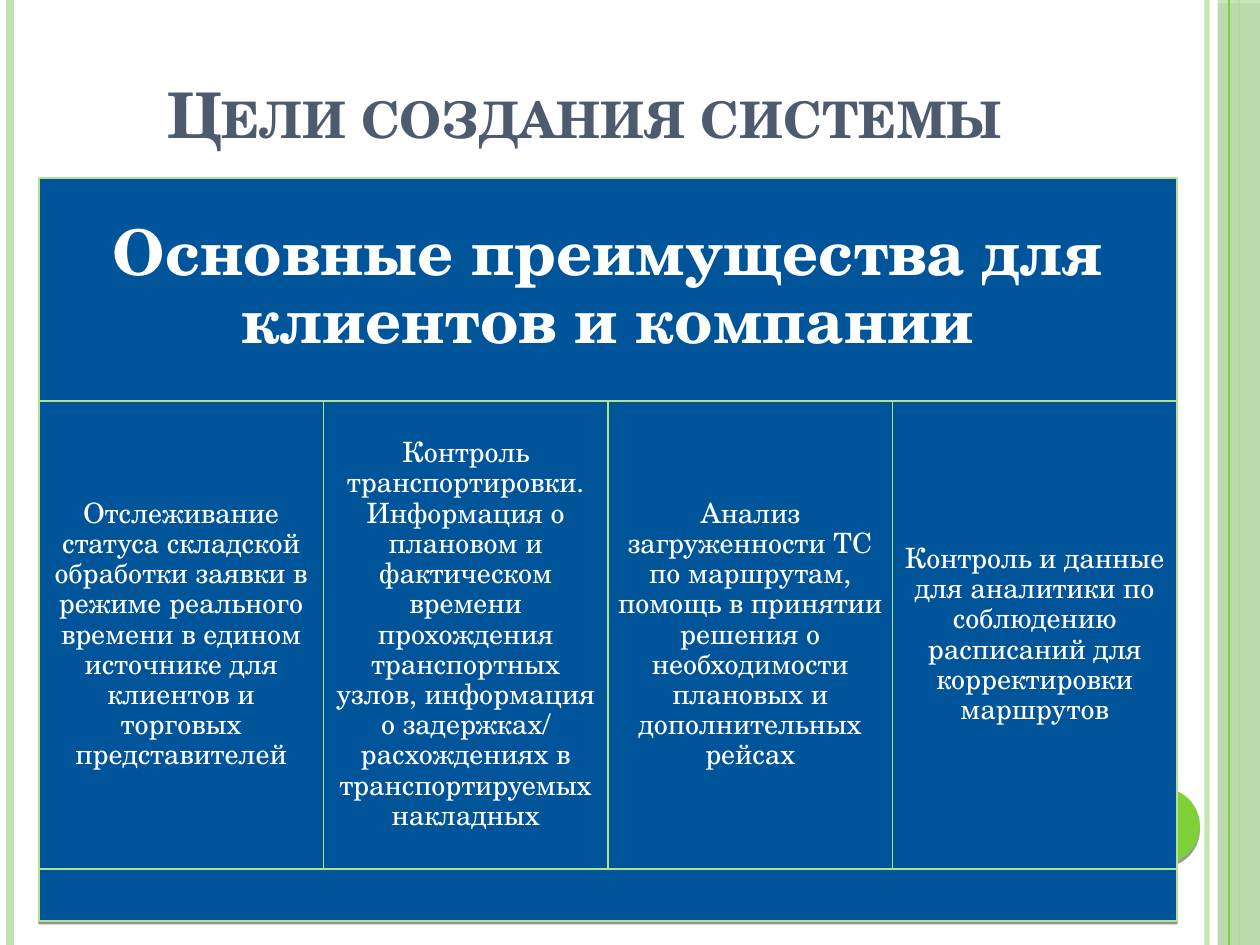
import pptx
import pptx.dml.color
import pptx.enum.shapes
import pptx.enum.text
import pptx.oxml.ns
import pptx.util
import lxml.etree

SCALE = 914400 / 126
FONT = "TeX Gyre Schola"
GREEN, PALE_GREEN, BORDER = "7FD13B", "C0E4AF", "B2E389"
BLUE, WHITE, SLATE = "00549A", "FFFFFF", "4E5B6F"

PANEL_LEFT, PANEL_WIDTH = 39, 1138
HEADING_TOP, COLUMNS_TOP, FOOTER_TOP, PANEL_BOTTOM = 178, 401, 869, 921
HEADING = "Основные преимущества для клиентов и компании"
BENEFITS = [
    "Отслеживание статуса складской обработки заявки в режиме реального "
    "времени в едином источнике для клиентов и торговых представителей",
    "Контроль транспортировки. Информация о плановом и фактическом времени "
    "прохождения транспортных узлов, информация о задержках/ расхождениях "
    "в транспортируемых накладных",
    "Анализ загруженности ТС по маршрутам, помощь в принятии решения о "
    "необходимости плановых и дополнительных рейсах",
    "Контроль и данные для аналитики по соблюдению расписаний для "
    "корректировки маршрутов",
]


def px(value):
    return pptx.util.Emu(round(value * SCALE))


def color(hex_string):
    return pptx.dml.color.RGBColor.from_string(hex_string)


def add_element(parent, tag, **attributes):
    element = lxml.etree.SubElement(parent, pptx.oxml.ns.qn(tag))
    for name, value in attributes.items():
        element.set(name, str(value))
    return element


def set_alpha(color_element, percent):
    add_element(color_element, "a:alpha", val=percent * 1000)


def add_stripe(slide, x, line_color, width, alpha=None):
    """Full-height vertical line."""
    stripe = slide.shapes.add_connector(
        pptx.enum.shapes.MSO_CONNECTOR.STRAIGHT, px(x), 0, px(x), px(945))
    stripe.line.color.rgb = color(line_color)
    stripe.line.width = pptx.util.Pt(width)
    if alpha:
        set_alpha(stripe.line.fill._xPr.find(".//" + pptx.oxml.ns.qn("a:srgbClr")), alpha)
    add_element(stripe._element.spPr, "a:effectLst")


def add_box(slide, kind, left, top, width, height, fill, border=None,
            alpha=None, shadow_alpha=40, shadow_distance=2):
    """Filled preset shape with a hard shadow straight below it."""
    shape = slide.shapes.add_shape(kind, px(left), px(top), px(width), px(height))
    shape.fill.solid()
    shape.fill.fore_color.rgb = color(fill)
    properties = shape._element.spPr
    if alpha:
        set_alpha(properties.find(".//" + pptx.oxml.ns.qn("a:srgbClr")), alpha)
    if border:
        shape.line.color.rgb = color(border)
        shape.line.width = 0
    else:
        shape.line.fill.background()
    shape.shadow.inherit = False
    effects = properties.find(pptx.oxml.ns.qn("a:effectLst"))
    shadow = add_element(effects, "a:outerShdw", blurRad=0, dir=5400000, rotWithShape=0,
                         dist=pptx.util.Pt(shadow_distance))
    set_alpha(add_element(shadow, "a:srgbClr", val="000000"), shadow_alpha)
    return shape


def set_text(shape, text, size, text_color=WHITE, bold=False, small_caps=False,
             anchor=pptx.enum.text.MSO_ANCHOR.MIDDLE, inset=(9, 9),
             line_spacing=0.9, space_after=0):
    frame = shape.text_frame
    frame.word_wrap = True
    frame.auto_size = pptx.enum.text.MSO_AUTO_SIZE.NONE
    frame.vertical_anchor = anchor
    frame.margin_left = frame.margin_right = px(inset[0])
    frame.margin_top = frame.margin_bottom = px(inset[1])
    paragraph = frame.paragraphs[0]
    paragraph.alignment = pptx.enum.text.PP_ALIGN.CENTER
    paragraph.line_spacing = line_spacing
    paragraph.space_before = pptx.util.Pt(0)
    paragraph.space_after = pptx.util.Pt(space_after)
    run = paragraph.add_run()
    run.text = text
    run.font.name = FONT
    run.font.size = pptx.util.Pt(size)
    run.font.bold = bold
    run.font.color.rgb = color(text_color)
    if small_caps:
        run.font._element.set("cap", "small")


def add_panel(slide, left, top, width, bottom):
    return add_box(slide, pptx.enum.shapes.MSO_SHAPE.RECTANGLE, left, top, width,
                   bottom - top, BLUE, border=BORDER, shadow_alpha=42,
                   shadow_distance=1.6)


def add_decoration(slide):
    add_stripe(slide, 1207, PALE_GREEN, 3, alpha=93)
    add_stripe(slide, 10, PALE_GREEN, 4.5)
    add_stripe(slide, 1239, GREEN, 1.5)
    add_box(slide, pptx.enum.shapes.MSO_SHAPE.RECTANGLE, 1218, 0, 42, 945,
            PALE_GREEN, alpha=87)
    add_stripe(slide, 1229, GREEN, 0.75)
    add_box(slide, pptx.enum.shapes.MSO_SHAPE.OVAL, 1124, 788, 76, 76, GREEN)


def add_title(slide, text):
    title = slide.shapes.title
    title.left, title.top, title.width, title.height = map(px, (29, 30, 1111, 127))
    set_text(title, text, 36, SLATE, bold=True, small_caps=True, inset=(13, 6),
             anchor=pptx.enum.text.MSO_ANCHOR.BOTTOM, line_spacing=1.0)


def add_benefits(slide):
    heading = add_panel(slide, PANEL_LEFT, HEADING_TOP, PANEL_WIDTH, COLUMNS_TOP)
    set_text(heading, HEADING, 36, bold=True, inset=(19, 19), space_after=12.6)
    column_width = PANEL_WIDTH / len(BENEFITS)
    for index, benefit in enumerate(BENEFITS):
        column = add_panel(slide, PANEL_LEFT + index * column_width, COLUMNS_TOP,
                           column_width, FOOTER_TOP)
        set_text(column, benefit, 16, space_after=5.6)
    add_panel(slide, PANEL_LEFT, FOOTER_TOP, PANEL_WIDTH, PANEL_BOTTOM)


def main():
    presentation = pptx.Presentation()
    presentation.slide_width, presentation.slide_height = px(1260), px(945)
    # Title Only layout
    slide = presentation.slides.add_slide(presentation.slide_layouts[5])
    add_decoration(slide)
    add_title(slide, "Цели создания системы")
    add_benefits(slide)
    presentation.save("out.pptx")


main()
